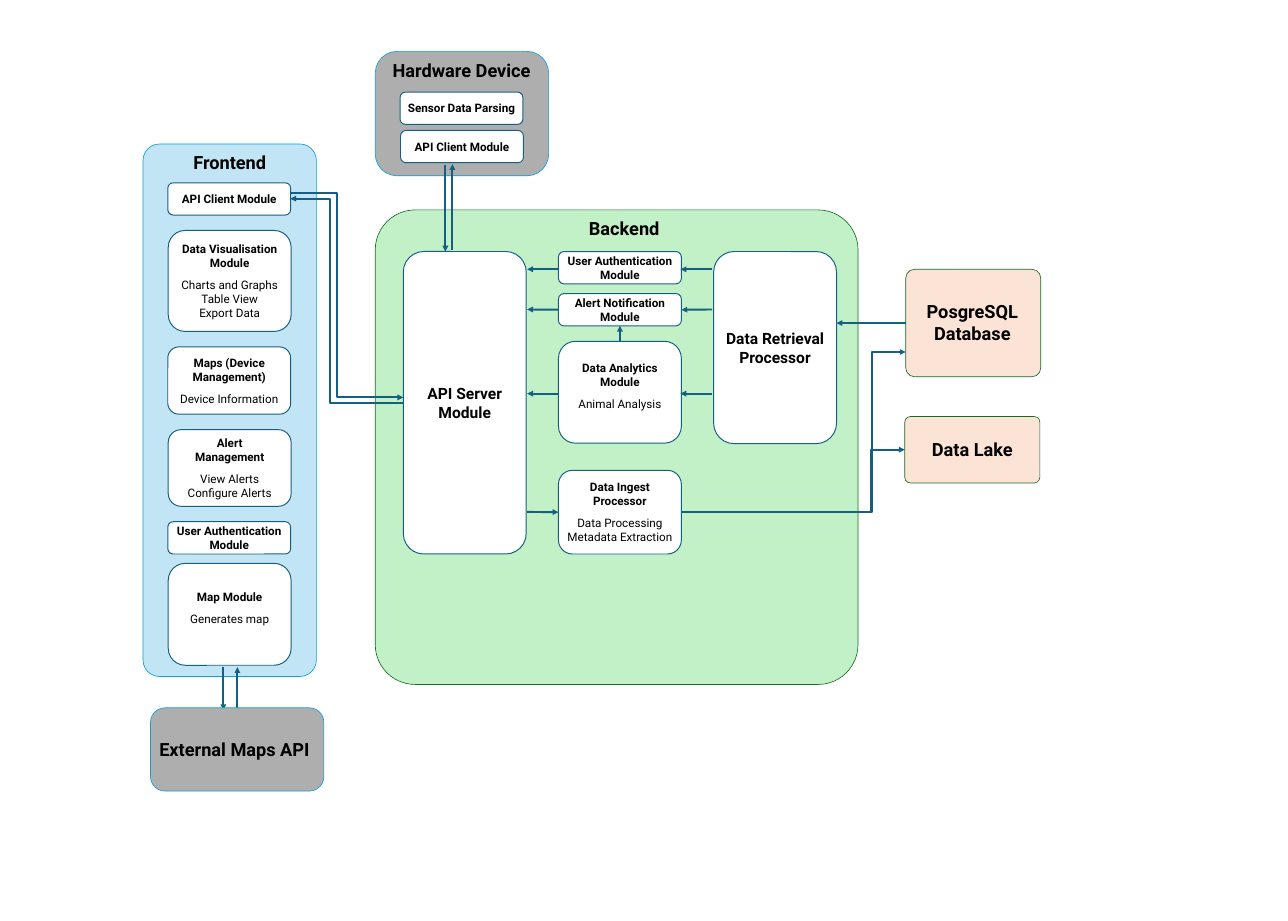
from lxml.etree import SubElement
from pptx import Presentation
from pptx.dml.color import RGBColor
from pptx.enum.shapes import MSO_CONNECTOR, MSO_SHAPE
from pptx.enum.text import MSO_ANCHOR, MSO_AUTO_SIZE, PP_ALIGN
from pptx.oxml.ns import qn
from pptx.util import Pt

PX = 9144  # EMU per px, 100 px to the inch


def px(*values):
    return [int(v * PX) for v in values]


def rgb(hex_string):
    return RGBColor.from_string(hex_string)


def write(tf, text, size=18, bold=True, color="000000", font="Roboto", before=0):
    """Add one centred paragraph per line of text."""
    for i, line in enumerate(text.split("\n")):
        p = tf.paragraphs[0] if not tf.text else tf.add_paragraph()
        p.alignment = PP_ALIGN.CENTER
        if i == 0 and before:
            p.space_before = Pt(before)
        r = p.add_run()
        r.text = line
        r.font.size, r.font.bold, r.font.name = Pt(size), bold, font
        r.font.color.rgb = rgb(color)


class Diagram:
    accent = "156082"
    blue, green = "0F9ED5", "196B24"
    module_width, bar_height = 263, 69

    def __init__(self, prs):
        self.s = prs.slides.add_slide(prs.slide_layouts[6])

    def panel(self, x, y, w, h, fill, line, adj=0.1667, weight=1.0):
        sp = self.s.shapes.add_shape(MSO_SHAPE.ROUNDED_RECTANGLE, *px(x, y, w, h))
        sp.adjustments[0] = adj
        sp.shadow.inherit = False
        sp.fill.solid()
        sp.fill.fore_color.rgb = rgb(fill)
        sp.line.color.rgb = rgb(line)
        sp.line.width = Pt(weight)
        return sp

    def module(self, x, y, head, h=bar_height, detail="", size=18, lift=0):
        sp = self.panel(x, y, self.module_width, h, "FFFFFF", self.accent, weight=1.5)
        tf = sp.text_frame
        tf.word_wrap = True
        tf.vertical_anchor = MSO_ANCHOR.MIDDLE
        tf.margin_bottom = px(5 + lift)[0]
        write(tf, head, size=size)
        if detail:
            write(tf, detail, bold=False, before=12)
        return sp

    def title(self, x, y, w, text, h=57):
        tf = self.s.shapes.add_textbox(*px(x, y, w, h)).text_frame
        tf.word_wrap = True
        tf.auto_size = MSO_AUTO_SIZE.SHAPE_TO_FIT_TEXT
        write(tf, text, size=28)

    def connector(self, kind, x1, y1, x2, y2):
        c = self.s.shapes.add_connector(kind, *px(x1, y1, x2, y2))
        c.line.color.rgb = rgb(self.accent)
        c.line.width = Pt(3)
        SubElement(c.line._get_or_add_ln(), qn("a:tailEnd"), type="triangle")
        SubElement(c._element.spPr, qn("a:effectLst"))
        return c

    def arrow(self, x1, y1, x2, y2, begin=None, end=None):
        c = self.connector(MSO_CONNECTOR.STRAIGHT, x1, y1, x2, y2)
        if begin:
            c.begin_connect(*begin)
        if end:
            c.end_connect(*end)

    def elbow(self, x1, y1, x2, y2, bend):
        """Bent arrow whose vertical part stands at x = bend."""
        c = self.connector(MSO_CONNECTOR.ELBOW, x1, y1, x2, y2)
        spPr = c._element.spPr
        if x2 < x1 and y2 < y1:  # a half turn instead of two flips
            xfrm = spPr.find(qn("a:xfrm"))
            for flip in ("flipH", "flipV"):
                xfrm.attrib.pop(flip, None)
            xfrm.set("rot", "10800000")
        geom = spPr.find(qn("a:prstGeom"))
        av = geom.find(qn("a:avLst"))
        if av is None:
            av = SubElement(geom, qn("a:avLst"))
        share = round((bend - x1) / (x2 - x1) * 100000)
        SubElement(av, qn("a:gd"), name="adj1", fmla=f"val {share}")


def main():
    prs = Presentation()
    prs.slide_width, prs.slide_height = px(2756, 1970)
    d = Diagram(prs)

    # Frontend
    d.panel(306, 308, 371, 1139, "C1E5F5", d.blue, 0.095)
    d.title(347, 319, 289, "Frontend")
    d.module(359, 391, "API Client Module")
    d.module(360, 493, "Data Visualisation Module", 216,
             "Charts and Graphs\nTable View\nExport Data")
    d.module(359, 742, "Maps (Device Management)", 144, "Device Information")
    d.module(360, 919, "Alert\nManagement", 164, "View Alerts\nConfigure Alerts")
    d.module(359, 1116, "User Authentication Module")
    d.module(360, 1205, "Map Module", 218, "Generates map", lift=29)

    # Hardware device
    d.panel(803, 110, 371, 266, "AEAEAE", d.blue, 0.174)
    d.title(812, 121, 351, "Hardware Device")
    d.module(856, 197, "Sensor Data Parsing")
    d.module(857, 279, "API Client Module")

    # Backend
    d.panel(803, 449, 1033, 1015, "C2F1C8", d.green, 0.084)
    d.title(1191, 459, 289, "Backend")
    d.module(863, 538, "API Server\nModule", 647, size=24)
    d.module(1195, 538, "User Authentication Module")
    alert = d.module(1195, 628, "Alert Notification Module")
    analytics = d.module(1195, 730, "Data Analytics Module", 218,
                         "Animal Analysis", lift=29)
    ingest = d.module(1195, 1006, "Data Ingest Processor", 179,
                      "Data Processing\nMetadata Extraction")
    d.module(1527, 538, "Data Retrieval Processor", 411, size=24)

    # Data stores
    database = d.panel(1938, 576, 289, 230, "FBE3D6", d.green, 0.084)
    d.title(1936, 637, 289, "PosgreSQL Database", 104)
    d.panel(1936, 891, 289, 142, "FBE3D6", d.green, 0.084)
    d.title(1936, 933, 289, "Data Lake")

    # Arrows between hardware, frontend and API server
    d.arrow(953, 352, 953, 538)
    d.arrow(968, 534, 968, 351)
    d.elbow(621, 413, 863, 850, bend=721)
    d.elbow(863, 862, 621, 425, bend=707)

    # Arrows inside the backend
    for y, left, right in ((576, None, None),
                           (662, (alert, 1), (alert, 3)),
                           (842, None, None)):
        d.arrow(1196, y, 1128, y, begin=left)
        d.arrow(1524, y, 1456, y, end=right)
    d.arrow(1128, 1095, 1196, 1095, end=(ingest, 1))
    d.arrow(1326, 730, 1326, 698, begin=(analytics, 0), end=(alert, 2))

    # Arrows to and from the data stores
    d.elbow(1458, 1095, 1936, 962, bend=1865)
    d.elbow(1458, 1095, 1938, 753, bend=1865)
    d.arrow(1938, 691, 1790, 691, begin=(database, 1))

    # External maps
    d.arrow(508, 1519, 508, 1427)
    d.arrow(478, 1426, 478, 1519)
    d.panel(322, 1514, 371, 178, "AEAEAE", d.blue, 0.174)
    d.title(326, 1575, 351, "External Maps API")

    prs.save("out.pptx")


if __name__ == "__main__":
    main()
